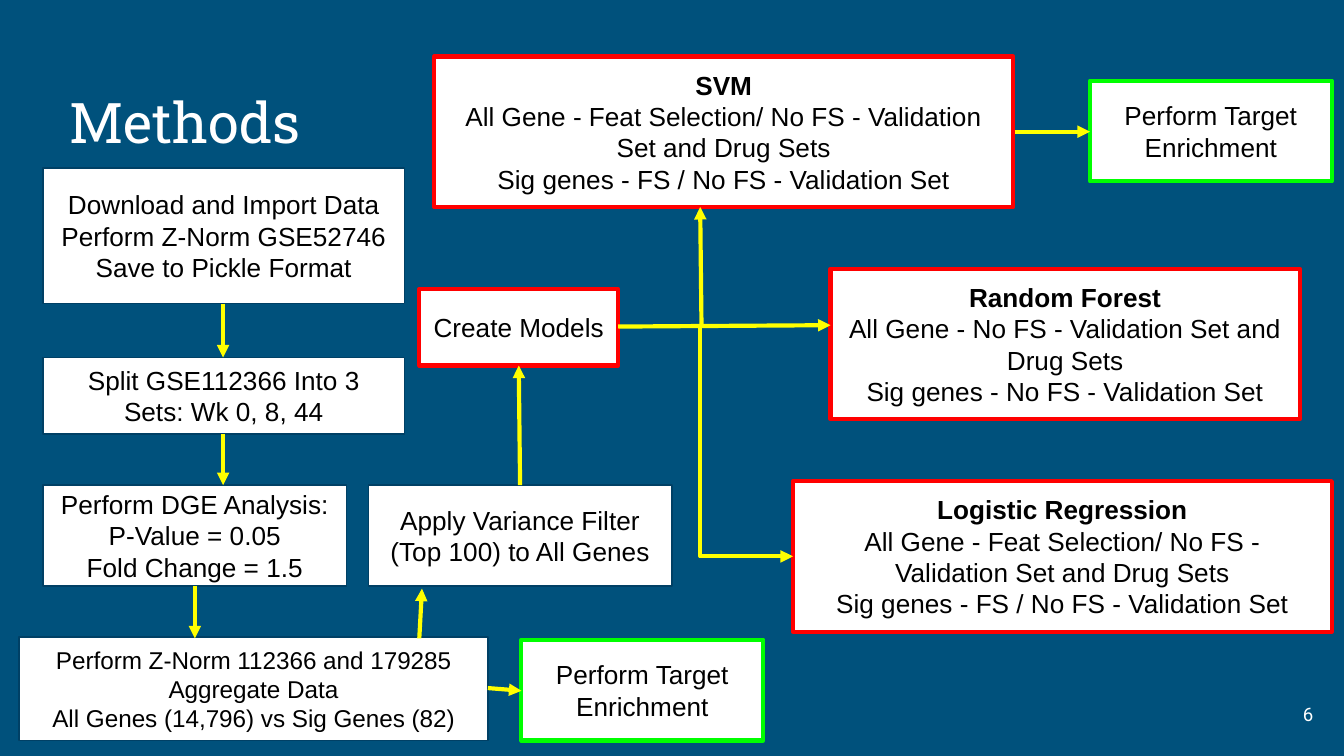
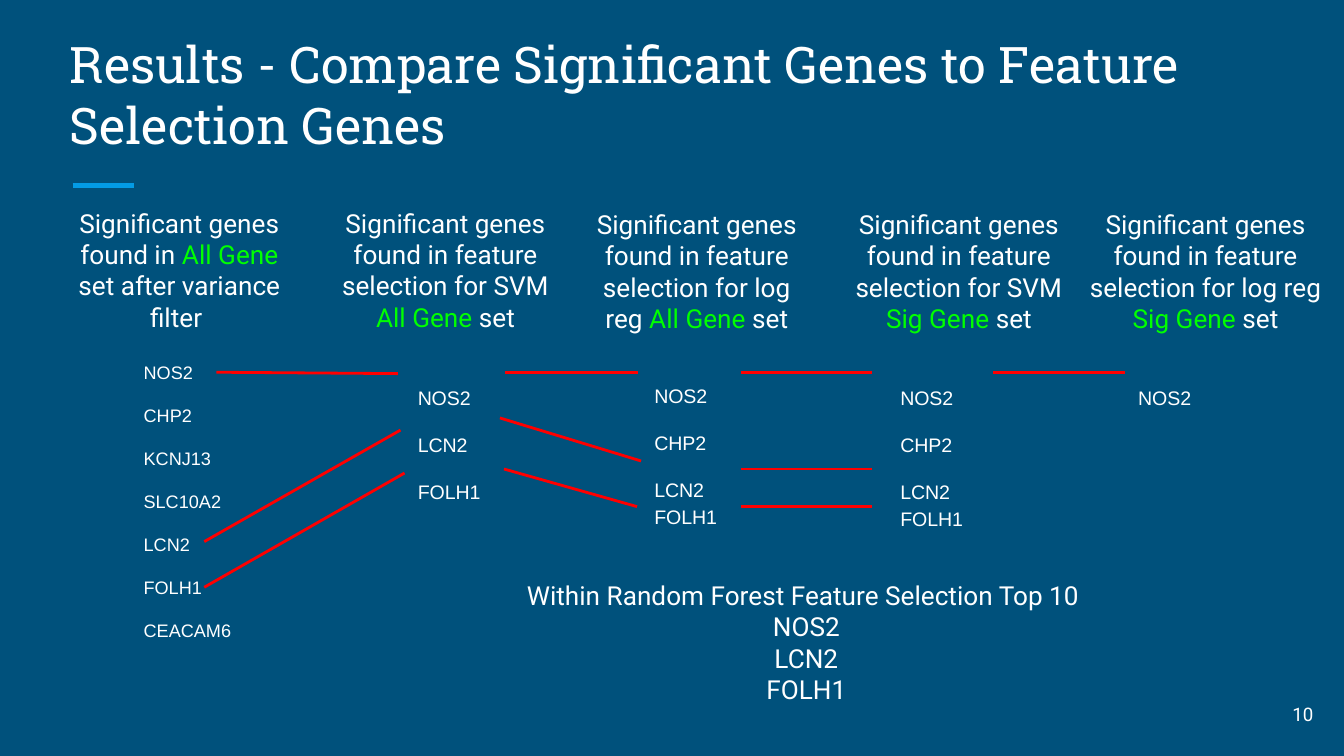
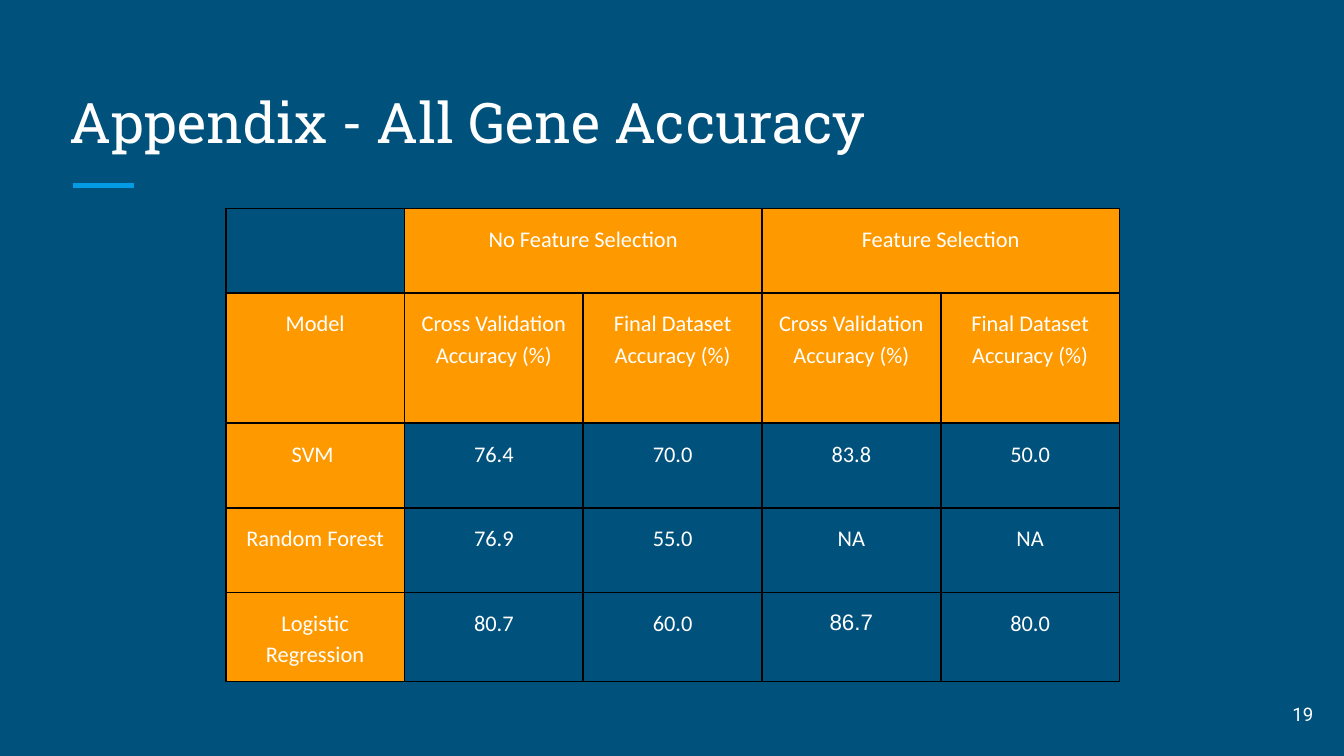
from typing import NamedTuple, Sequence

from lxml import etree
from pptx import Presentation
from pptx.dml.color import RGBColor
from pptx.enum.shapes import MSO_CONNECTOR, MSO_SHAPE
from pptx.enum.text import MSO_ANCHOR, PP_ALIGN
from pptx.oxml.ns import qn
from pptx.util import Inches, Pt

STRAIGHT = MSO_CONNECTOR.STRAIGHT
RECTANGLE = MSO_SHAPE.RECTANGLE
TOP, MIDDLE, BOTTOM = MSO_ANCHOR.TOP, MSO_ANCHOR.MIDDLE, MSO_ANCHOR.BOTTOM
LEFT, CENTER, RIGHT = PP_ALIGN.LEFT, PP_ALIGN.CENTER, PP_ALIGN.RIGHT

# The slide is a grid of square units: 100 columns by 56.25 rows.
SLIDE_WIDTH = Inches(10)
COLUMNS, ROWS = 100, 56.25
UNIT = SLIDE_WIDTH / COLUMNS

NAVY, DARK_NAVY, BLUE = "00517C", "004065", "039BE5"
WHITE, BLACK, ORANGE = "FFFFFF", "000000", "FF9900"
RED, GREEN, YELLOW = "FF0000", "00FF00", "FFFF00"
TITLE_FONT, BODY_FONT, PLAIN_FONT, TABLE_FONT = "Roboto Slab", "Roboto", "Arial", "Calibri"


class Area(NamedTuple):
    left: float
    top: float
    width: float
    height: float


class Step(NamedTuple):
    area: Area
    lines: Sequence[str]
    outline: str = DARK_NAVY
    outline_width: float = 0.75
    size: float = 14
    has_heading: bool = False


class Line(NamedTuple):
    start: tuple[float, float]
    end: tuple[float, float]


class Heading(NamedTuple):
    left: float
    top: float
    width: float
    before: str
    highlight: str
    after: str


class GeneList(NamedTuple):
    left: float
    top: float
    width: float
    genes: Sequence[str]
    spacings: Sequence[float]
    size: float = 10.5
    space_before: float = 0


def grid(units: float) -> int:
    return round(units * UNIT)


def color(value: str) -> RGBColor:
    return RGBColor.from_string(value)


def style_font(font, name: str, size: float, fill: str) -> None:
    font.name, font.size = name, Pt(size)
    font.color.rgb = color(fill)


def add_text(slide, area: Area, lines: Sequence[str], font: str, size: float,
             anchor=TOP, alignment=LEFT):
    """Add a white text box with one paragraph per line and return its frame."""
    frame = slide.shapes.add_textbox(*map(grid, area)).text_frame
    fill_frame(frame, lines, font, size, WHITE, anchor, alignment)
    return frame


def fill_frame(frame, lines: Sequence[str], font: str, size: float, fill: str,
               anchor, alignment) -> None:
    frame.word_wrap = True
    frame.vertical_anchor = anchor
    frame.margin_left = frame.margin_right = grid(1)
    frame.margin_top = frame.margin_bottom = grid(1)
    frame.text = "\n".join(lines)
    for paragraph in frame.paragraphs:
        paragraph.alignment = alignment
        style_font(paragraph.font, font, size, fill)


def add_line(slide, line: Line, stroke: str, width: float, arrow: bool = False):
    connector = slide.shapes.add_connector(STRAIGHT, *map(grid, line.start + line.end))
    connector.line.color.rgb = color(stroke)
    connector.line.width = Pt(width)
    if arrow:
        etree.SubElement(connector.line._ln, qn("a:tailEnd"), type="triangle")
    etree.SubElement(connector._element.spPr, qn("a:effectLst"))
    return connector


def add_elbow_arrow(slide, line: Line) -> None:
    """Draw an arrow that runs down from the start, then right to the end."""
    connector = add_line(slide, line, YELLOW, 2.25, arrow=True)
    across, down = connector.width, connector.height
    connector.left += (across - down) // 2
    connector.top += (down - across) // 2
    connector.width, connector.height = down, across
    properties = connector._element.spPr
    properties.find(qn("a:prstGeom")).set("prst", "bentConnector2")
    transform = properties.find(qn("a:xfrm"))
    transform.set("rot", str(270 * 60000))
    transform.set("flipH", "1")


def add_step(slide, step: Step) -> None:
    shape = slide.shapes.add_shape(RECTANGLE, *map(grid, step.area))
    shape.shadow.inherit = False
    shape.fill.solid()
    shape.fill.fore_color.rgb = color(WHITE)
    shape.line.color.rgb = color(step.outline)
    shape.line.width = Pt(step.outline_width)
    fill_frame(shape.text_frame, step.lines, PLAIN_FONT, step.size, BLACK, MIDDLE, CENTER)
    shape.text_frame.paragraphs[0].font.bold = step.has_heading


def add_heading(slide, heading: Heading) -> None:
    area = Area(heading.left, heading.top, heading.width, 11.4)
    frame = add_text(slide, area, [heading.before], BODY_FONT, 14, alignment=CENTER)
    paragraph = frame.paragraphs[0]
    highlight = paragraph.add_run()
    highlight.text = heading.highlight
    highlight.font.color.rgb = color(GREEN)
    paragraph.add_run().text = heading.after


def add_gene_list(slide, gene_list: GeneList) -> None:
    area = Area(gene_list.left, gene_list.top, gene_list.width, 27.3)
    frame = add_text(slide, area, gene_list.genes, PLAIN_FONT, gene_list.size)
    for index, (paragraph, spacing) in enumerate(zip(frame.paragraphs, gene_list.spacings)):
        paragraph.line_spacing = spacing
        paragraph.space_before = Pt(gene_list.space_before if index else 0)


def add_slide(presentation, title: str, number: int, title_size: float = 30,
              title_area: Area = Area(4.2, 5, 91.5, 7.5), accent: bool = True):
    """Add a slide with the shared title, accent bar and page number."""
    slide = presentation.slides.add_slide(presentation.slide_layouts[6])
    if accent:
        add_line(slide, Line((5.4, 13.8), (10, 13.8)), BLUE, 3)
    add_text(slide, title_area, [title], TITLE_FONT, title_size, BOTTOM)
    add_text(slide, Area(92.7, 51, 6, 4.3), [str(number)], BODY_FONT, 10, MIDDLE, RIGHT)
    return slide


def build_methods(presentation) -> None:
    slide = add_slide(presentation, "Methods", 6,
                      title_area=Area(4.2, 5, 20.4, 7.5), accent=False)
    enrichment = ["Perform Target Enrichment"]
    selection = ["All Gene - Feat Selection/ No FS - Validation Set and Drug Sets",
                 "Sig genes - FS / No FS - Validation Set"]
    steps = [
        Step(Area(3.2, 12.5, 26.9, 10.1),
             ["Download and Import Data", "Perform Z-Norm GSE52746", "Save to Pickle Format"]),
        Step(Area(3.2, 26.6, 26.9, 5.7), ["Split GSE112366 Into 3 Sets: Wk 0, 8, 44"]),
        Step(Area(3.2, 36.1, 22.6, 7.5),
             ["Perform DGE Analysis:", "P-Value = 0.05", "Fold Change = 1.5"]),
        Step(Area(1.4, 47.4, 34.9, 7.7),
             ["Perform Z-Norm 112366 and 179285", "Aggregate Data",
              "All Genes (14,796) vs Sig Genes (82)"], size=13),
        Step(Area(27.4, 36.1, 22.6, 7.5), ["Apply Variance Filter (Top 100) to All Genes"]),
        Step(Area(38.8, 47.6, 18, 7.5), enrichment, GREEN, 2.25),
        Step(Area(81.1, 6, 18, 7.5), enrichment, GREEN, 2.25),
        Step(Area(31.2, 21.5, 14.8, 5.7), ["Create Models"], RED, 2.25),
        Step(Area(32.3, 4.2, 43.1, 11.2), ["SVM", *selection], RED, 2.25, has_heading=True),
        Step(Area(61.8, 20, 34.9, 11.2),
             ["Random Forest", "All Gene - No FS - Validation Set and Drug Sets",
              "Sig genes - No FS - Validation Set"], RED, 2.25, has_heading=True),
        Step(Area(59, 35.8, 40.1, 11.2), ["Logistic Regression", *selection], RED, 2.25,
             has_heading=True),
    ]
    arrows = [
        Line((16.6, 22.6), (16.6, 26.6)),
        Line((16.6, 32.3), (16.6, 36.1)),
        Line((14.5, 43.6), (14.5, 47.5)),
        Line((31.2, 47.5), (31.4, 43.8)),
        Line((38.7, 36.1), (38.6, 27.2)),
        Line((52.2, 24.4), (52.1, 15.4)),
        Line((46, 24.3), (61.8, 24.2)),
        Line((36.3, 51.2), (38.8, 51.4)),
        Line((75.5, 9.8), (81.1, 9.8)),
    ]
    for step in steps:
        add_step(slide, step)
    for arrow in arrows:
        add_line(slide, arrow, YELLOW, 2.25, arrow=True)
    add_elbow_arrow(slide, Line((52.1, 24.4), (59, 41.4)))


def build_results(presentation) -> None:
    slide = add_slide(presentation,
                      "Results - Compare Significant Genes to Feature Selection Genes",
                      10, 27, Area(4.2, 2.7, 91.5, 9.8))
    found = "Significant genes found in "
    svm = found + "feature selection for SVM "
    log_reg = found + "feature selection for log reg "
    headings = [
        Heading(4.2, 14.4, 18.3, found, "All Gene", " set after variance filter "),
        Heading(24, 14.4, 18.3, svm, "All Gene ", "set"),
        Heading(42.7, 14.5, 18.3, log_reg, "All Gene", " set"),
        Heading(62.2, 14.5, 18.3, svm, "Sig Gene", " set"),
        Heading(79.7, 14.5, 20, log_reg, "Sig Gene ", "set"),
    ]
    all_genes = ["NOS2", "CHP2", "KCNJ13", "SLC10A2", "LCN2", "FOLH1", "CEACAM6"]
    shared_genes = ["NOS2", "LCN2", "FOLH1"]
    four_genes = ["NOS2", "CHP2", "LCN2", "FOLH1"]
    four_spacings = [2, 2, 2, 1.15]
    gene_lists = [
        GeneList(9.7, 26, 10.9, all_genes, [0.95] * len(all_genes), 9.7, 12),
        GeneList(30.1, 26, 14.9, shared_genes, [2] * len(shared_genes)),
        GeneList(47.7, 25.8, 14.9, four_genes, four_spacings),
        GeneList(66, 26, 14.9, four_genes, four_spacings),
        GeneList(83.7, 26, 14.9, ["NOS2"], [2]),
    ]
    links = [
        Line((16.1, 27.7), (29.6, 27.8)),
        Line((15.2, 40.3), (29.8, 32)),
        Line((15.2, 43.7), (30.1, 35.2)),
        Line((37.6, 27.7), (47.5, 27.7)),
        Line((37.2, 31.1), (47.7, 34.3)),
        Line((37.5, 34.9), (47.4, 37.7)),
        *(Line((55.1, row), (64.9, row)) for row in (27.7, 34.9, 37.7)),
        Line((73.9, 27.7), (83.7, 27.7)),
    ]
    for heading in headings:
        add_heading(slide, heading)
    for gene_list in gene_lists:
        add_gene_list(slide, gene_list)
    for link in links:
        add_line(slide, link, RED, 1.5)
    add_text(slide, Area(33.7, 42.1, 52.6, 11.4),
             ["Within Random Forest Feature Selection Top 10 ", *shared_genes],
             BODY_FONT, 14, alignment=CENTER)


def style_cell(cell, text: str, is_header: bool, font: str) -> None:
    cell.margin_left = cell.margin_right = grid(0.7)
    cell.margin_top = cell.margin_bottom = grid(1)
    cell.text = text
    paragraph = cell.text_frame.paragraphs[0]
    paragraph.alignment = CENTER
    paragraph.line_spacing = 1.15
    style_font(paragraph.font, font, 12, WHITE)
    properties = cell._tc.get_or_add_tcPr()
    for side in ("lnL", "lnR", "lnT", "lnB"):
        border = etree.SubElement(properties, qn(f"a:{side}"), w=str(Pt(1)))
        fill = etree.SubElement(border, qn("a:solidFill"))
        etree.SubElement(fill, qn("a:srgbClr"), val=BLACK)
    if is_header:
        cell.fill.solid()
        cell.fill.fore_color.rgb = color(ORANGE)
    else:
        cell.fill.background()


def build_appendix(presentation) -> None:
    slide = add_slide(presentation, "Appendix - All Gene Accuracy", 19)
    measures = ["Cross Validation Accuracy (%)", "Final Dataset Accuracy (%)"]
    rows = [
        ["", "No Feature Selection", "", "Feature Selection", ""],
        ["Model", *measures, *measures],
        ["SVM ", "76.4", "70.0", "83.8", "50.0"],
        ["Random Forest", "76.9", "55.0", "NA", "NA"],
        ["Logistic Regression", "80.7", "60.0", "86.7", "80.0"],
    ]
    row_heights = [6.3, 9.7, 6.3, 6.3, 6.3]
    column_width = 13.3
    area = Area(16.8, 15.5, column_width * len(rows[0]), sum(row_heights))
    table = slide.shapes.add_table(len(rows), len(rows[0]), *map(grid, area)).table
    table.first_row = table.horz_banding = False
    for column in table.columns:
        column.width = grid(column_width)
    for row, height in zip(table.rows, row_heights):
        row.height = grid(height)
    for row_index, row in enumerate(rows):
        for column_index, text in enumerate(row):
            is_corner = row_index == column_index == 0
            is_header = not is_corner and (row_index < 2 or column_index == 0)
            font = PLAIN_FONT if text == "86.7" else TABLE_FONT
            style_cell(table.cell(row_index, column_index), text, is_header, font)
    for first in (1, 3):
        table.cell(0, first).merge(table.cell(0, first + 1))


def main() -> None:
    presentation = Presentation()
    presentation.slide_width = SLIDE_WIDTH
    presentation.slide_height = grid(ROWS)
    background = presentation.slide_master.background.fill
    background.solid()
    background.fore_color.rgb = color(NAVY)
    build_methods(presentation)
    build_results(presentation)
    build_appendix(presentation)
    presentation.save("out.pptx")


if __name__ == "__main__":
    main()
